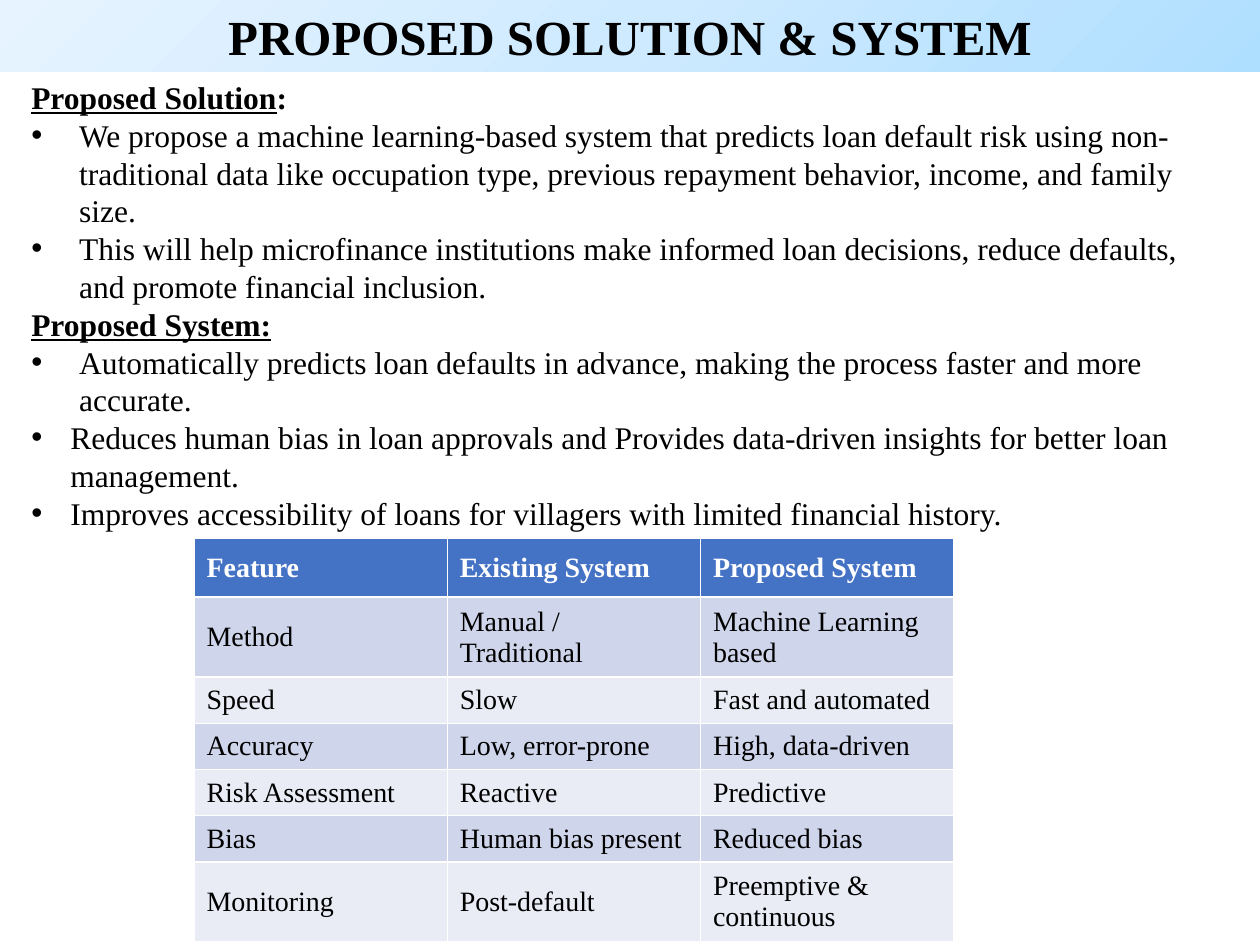
from lxml import etree
from pptx import Presentation
from pptx.dml.color import RGBColor
from pptx.enum.shapes import MSO_SHAPE
from pptx.enum.text import MSO_ANCHOR, PP_ALIGN
from pptx.oxml.ns import qn
from pptx.util import Inches, Pt

RECTANGLE = MSO_SHAPE.RECTANGLE
MIDDLE = MSO_ANCHOR.MIDDLE
CENTER = PP_ALIGN.CENTER
FONT = "Times New Roman"


def color(value):
    return RGBColor.from_string(value)


def set_font(font, size, value, bold):
    font.name = FONT
    font.size = Pt(size)
    font.color.rgb = color(value)
    font.bold = bold


presentation = Presentation()
presentation.slide_width = Inches(10)
presentation.slide_height = Inches(7.5)
slide = presentation.slides.add_slide(presentation.slide_layouts[6])

banner = slide.shapes.add_shape(RECTANGLE, 0, 0, Inches(10), Inches(0.57))
banner.shadow.inherit = False
banner.line.fill.background()
banner.fill.gradient()
gradient = banner._element.spPr.find(qn("a:gradFill"))
stops = gradient.find(qn("a:gsLst"))
for stop in list(stops):
    stops.remove(stop)
for position, value in ((0, "AFDFFF"), (50, "CEEAFF"), (100, "E7F4FF")):
    stop = etree.SubElement(stops, qn("a:gs"), pos=str(position * 1000))
    etree.SubElement(stop, qn("a:srgbClr"), val=value)
gradient.find(qn("a:lin")).set("ang", str(225 * 60000))
banner.text_frame.vertical_anchor = MIDDLE
paragraph = banner.text_frame.paragraphs[0]
paragraph.text = "PROPOSED SOLUTION & SYSTEM"
paragraph.alignment = CENTER
set_font(paragraph.font, 28, "000000", True)

body = slide.shapes.add_textbox(Inches(0.15), Inches(0.57), Inches(9.71), Inches(3.74))
frame = body.text_frame
frame.word_wrap = True
sections = [
    ("Proposed Solution", ":", [
        (0.38, "We propose a machine learning-based system that predicts loan default risk using "
               "non-traditional data like occupation type, previous repayment behavior, income, "
               "and family size."),
        (0.38, "This will help microfinance institutions make informed loan decisions, reduce "
               "defaults, and promote financial inclusion."),
    ]),
    ("Proposed System:", "", [
        (0.38, "Automatically predicts loan defaults in advance, making the process faster and "
               "more accurate."),
        (0.31, "Reduces human bias in loan approvals and Provides data-driven insights for better "
               "loan management."),
        (0.31, "Improves accessibility of loans for villagers with limited financial history."),
    ]),
]
paragraph = frame.paragraphs[0]
for heading, suffix, bullets in sections:
    if paragraph.runs:
        paragraph = frame.add_paragraph()
    set_font(paragraph.font, 18, "000000", True)
    run = paragraph.add_run()
    run.text = heading
    run.font.underline = True
    if suffix:
        paragraph.add_run().text = suffix
    for indent, text in bullets:
        paragraph = frame.add_paragraph()
        paragraph.text = text
        set_font(paragraph.font, 18, "000000", False)
        properties = paragraph._p.get_or_add_pPr()
        properties.set("marL", str(Inches(indent)))
        properties.set("indent", str(-Inches(indent)))
        bullet_font = etree.Element(qn("a:buFont"), typeface="Arial")
        bullet = etree.Element(qn("a:buChar"), char="•")
        properties.insert(0, bullet_font)
        properties.insert(1, bullet)

rows = [
    ("Feature", "Existing System", "Proposed System"),
    ("Method", "Manual / Traditional", "Machine Learning based"),
    ("Speed", "Slow", "Fast and automated"),
    ("Accuracy", "Low, error-prone", "High, data-driven"),
    ("Risk Assessment", "Reactive", "Predictive"),
    ("Bias", "Human bias present", "Reduced bias"),
    ("Monitoring", "Post-default", "Preemptive & continuous"),
]
heights = [0.47, 0.6, 0.35, 0.35, 0.35, 0.35, 0.6]
table = slide.shapes.add_table(
    len(rows), 3, Inches(1.54), Inches(4.27), Inches(6.04), Inches(sum(heights))
).table
for column in table.columns:
    column.width = Inches(2.01)
for row_index, (height, texts) in enumerate(zip(heights, rows)):
    table.rows[row_index].height = Inches(height)
    header = row_index == 0
    fill = "4472C4" if header else ("E9EBF5", "CFD5EA")[row_index % 2]
    for column_index, text in enumerate(texts):
        cell = table.cell(row_index, column_index)
        cell.fill.solid()
        cell.fill.fore_color.rgb = color(fill)
        cell.vertical_anchor = MIDDLE
        paragraph = cell.text_frame.paragraphs[0]
        paragraph.text = text
        set_font(paragraph.font, 16, "FFFFFF" if header else "000000", header)

presentation.save("out.pptx")
